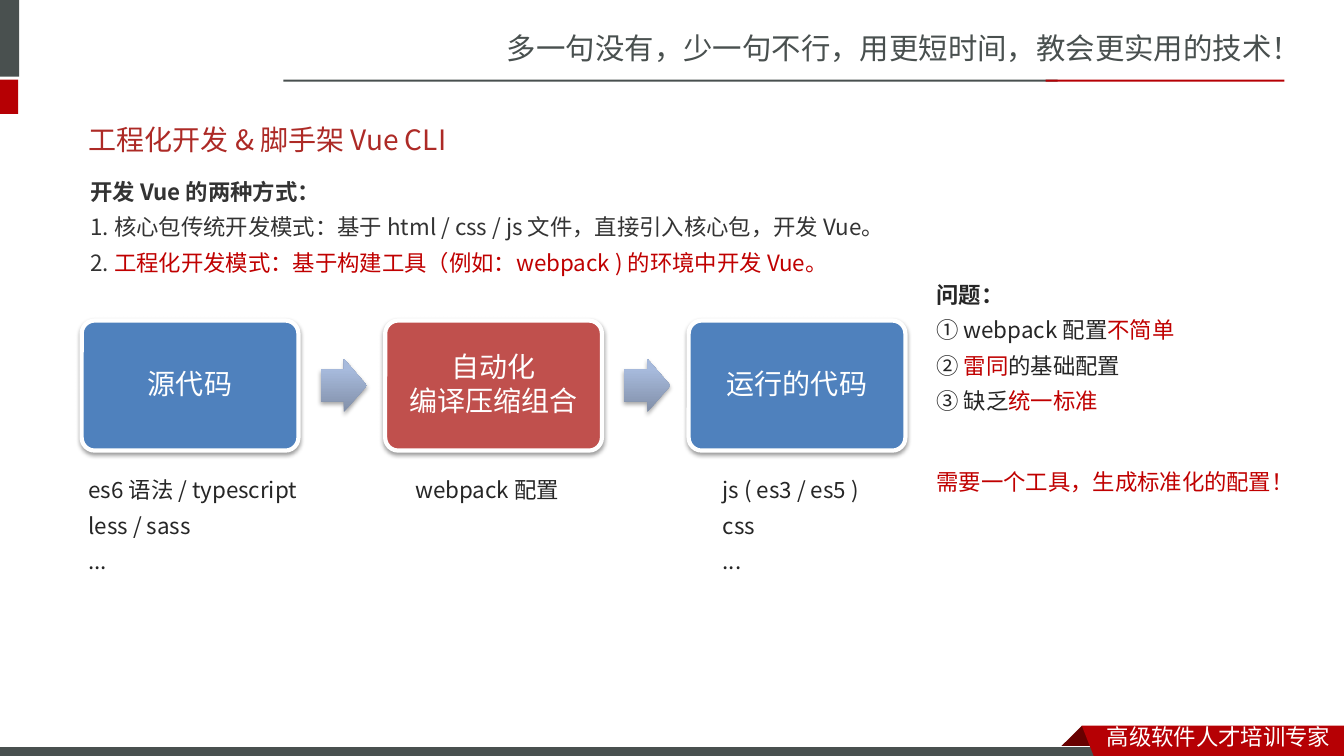
import pptx
import pptx.dml.color
import pptx.enum.shapes
import pptx.enum.text
import pptx.oxml
import pptx.oxml.ns
import pptx.util

RGBColor = pptx.dml.color.RGBColor
MSO_SHAPE = pptx.enum.shapes.MSO_SHAPE
PP_ALIGN = pptx.enum.text.PP_ALIGN
MSO_ANCHOR = pptx.enum.text.MSO_ANCHOR

PX = 9144  # 100 px to the inch
GREY = RGBColor(0x49, 0x50, 0x4F)
RED = RGBColor(0xB6, 0x00, 0x04)
FOLD = RGBColor(0x68, 0x00, 0x00)
WHITE = RGBColor(0xFF, 0xFF, 0xFF)
TITLE = RGBColor(0xAD, 0x2A, 0x26)
DARK = RGBColor(0x33, 0x33, 0x33)
INK = RGBColor(0x26, 0x26, 0x26)
ACCENT = RGBColor(0xC0, 0x00, 0x00)
STEP_BLUE = RGBColor(0x4F, 0x81, 0xBD)
STEP_RED = RGBColor(0xC0, 0x50, 0x4D)
ARROW_DARK = RGBColor(0x81, 0x8F, 0xA8)
ARROW_LIGHT = RGBColor(0xA7, 0xBA, 0xDC)

SANS = "Noto Sans CJK JP"
SANS_SC = "Noto Sans CJK SC"
BODY = {"line_spacing": 1.17, "space_before": pptx.util.Pt(3)}
STEP = {"line_spacing": 0.9, "space_after": pptx.util.Pt(2.5), "alignment": PP_ALIGN.CENTER}


def px(*lengths):
    return [length * PX for length in lengths]


def write(frame, lines, size, color, font=SANS, layout=None, bold_first=False):
    """Fill a frame; a line is a string or a list of strings and (string, color) pairs."""
    for index, line in enumerate(lines):
        paragraph = frame.paragraphs[0] if index == 0 else frame.add_paragraph()
        for name, value in (layout or {}).items():
            setattr(paragraph, name, value)
        for part in [line] if isinstance(line, str) else line:
            text, run_color = (part, color) if isinstance(part, str) else part
            run = paragraph.add_run()
            run.text = text
            values = {"size": pptx.util.Pt(size), "name": font, "bold": bold_first and index == 0}
            for name, value in values.items():
                setattr(run.font, name, value)
            run.font.color.rgb = run_color
            east_asian = pptx.oxml.ns.qn("a:ea")
            run.font._element.makeelement(east_asian)
            latin = run.font._element.find(pptx.oxml.ns.qn("a:latin"))
            latin.addnext(latin.makeelement(east_asian, {"typeface": font}))


def add_text(slide, box, lines, size, color, anchor=MSO_ANCHOR.TOP, **style):
    frame = slide.shapes.add_textbox(*px(*box)).text_frame
    frame.word_wrap = True
    frame.vertical_anchor = anchor
    write(frame, lines, size, color, **style)


def paint(shape, fill, line=None, line_width=0.75):
    shape.shadow.inherit = False
    shape.fill.solid()
    shape.fill.fore_color.rgb = fill
    outline(shape, line, line_width)


def outline(shape, line, width):
    if line is None:
        shape.line.fill.background()
    else:
        shape.line.color.rgb = line
        shape.line.width = pptx.util.Pt(width)


def add_bar(slide, box, fill, line=None):
    paint(slide.shapes.add_shape(MSO_SHAPE.RECTANGLE, *px(*box)), fill, line)


def add_polygon(slide, points, fill):
    builder = slide.shapes.build_freeform(*points[0], scale=PX)
    builder.add_line_segments(points[1:], close=True)
    paint(builder.convert_to_shape(), fill)


def add_soft_shadow(shape, distance, opacity):
    shape.shadow.inherit = False
    namespace = pptx.oxml.ns.nsdecls("a")
    effects = shape._element.spPr.find(pptx.oxml.ns.qn("a:effectLst"))
    effects.append(pptx.oxml.parse_xml(
        f'<a:outerShdw {namespace} blurRad="40000" dist="{distance}" dir="5400000" rotWithShape="0">'
        f'<a:srgbClr val="000000"><a:alpha val="{opacity * 1000}"/></a:srgbClr></a:outerShdw>'))


def add_header(slide, box):
    left, top, width, height = box
    add_text(slide, (left + 493, top + 25, 841, 47),
             ["多一句没有，少一句不行，用更短时间，教会更实用的技术！"], 21, GREY, font=SANS_SC)
    add_bar(slide, (left - 6, top, 25, 76), GREY)
    add_bar(slide, (left - 6, top + 79, 24, 34), RED)
    add_bar(slide, (left + 281, top + height - 2, 768, 2), GREY)
    add_bar(slide, (left + 1037, top + height - 2, 237, 2), RED)


def add_footer(slide, box):
    left, top, width, height = box
    right, bottom = left + width, top + height
    ribbon = right - 260
    add_polygon(slide, [(ribbon, top), (ribbon + 22, top + 22), (ribbon + 21, top + 23),
                        (ribbon - 21, top + 23), (ribbon - 22, top + 22)], FOLD)
    add_bar(slide, (left - 1, top + 21, 1100, 12), GREY, WHITE)
    add_polygon(slide, [(ribbon, top), (right, top), (right, bottom), (ribbon + 13, bottom - 1)], RED)
    add_text(slide, (right - 245, top - 7, 245, 37), ["高级软件人才培训专家"], 16, WHITE, font=SANS_SC)


def add_step(slide, box, lines, fill):
    shape = slide.shapes.add_shape(MSO_SHAPE.ROUNDED_RECTANGLE, *px(*box))
    shape.adjustments[0] = 0.1
    paint(shape, fill, WHITE, 3)
    add_soft_shadow(shape, 20000, 38)
    frame = shape.text_frame
    frame.word_wrap = True
    frame.vertical_anchor = MSO_ANCHOR.MIDDLE
    write(frame, lines, 20, WHITE, layout=STEP)


def add_step_arrow(slide, box):
    arrow = slide.shapes.add_shape(MSO_SHAPE.RIGHT_ARROW, *px(*box))
    arrow.adjustments[0], arrow.adjustments[1] = 0.6, 0.5
    arrow.fill.gradient()
    arrow.fill.gradient_angle = 90
    for stop, color, position in zip(arrow.fill.gradient_stops, (ARROW_DARK, ARROW_LIGHT), (0, 0.8)):
        stop.color.rgb = color
        stop.position = position
    outline(arrow, None, 0)
    add_soft_shadow(arrow, 23000, 35)


def add_build_flow(slide, box):
    """Three steps joined by arrows, with notes below each."""
    left, top, width, height = box
    step_width, step_height, arrow_width, arrow_height = 215, 129, 46, 53
    pitch = (width - step_width) // 2
    steps = [
        (["源代码"], STEP_BLUE, -3, 257, ["es6 语法 / typescript", "less / sass", "..."]),
        (["自动化", "编译压缩组合"], STEP_RED, 20, 175, ["webpack 配置"]),
        (["运行的代码"], STEP_BLUE, 24, 192, ["js ( es3 / es5 )", "css", "..."]),
    ]
    for index, (lines, fill, indent, note_width, notes) in enumerate(steps):
        step_left = left + index * pitch
        add_step(slide, (step_left, top, step_width, step_height), lines, fill)
        if index:
            add_step_arrow(slide, (step_left - 64, top + (step_height - arrow_height) // 2,
                                   arrow_width, arrow_height))
        add_text(slide, (step_left + indent, top + 145, note_width, height - 145),
                 notes, 16, INK, layout=BODY)


def add_problems(slide, box):
    left, top, width, height = box
    add_text(slide, (left, top, width, 180),
             ["问题：", ["① webpack 配置", ("不简单", ACCENT)],
              ["② ", ("雷同", ACCENT), "的基础配置"], ["③ 缺乏", ("统一标准", ACCENT)]],
             16, INK, layout=BODY, bold_first=True)
    add_text(slide, (left, top + 186, width, height - 186),
             ["需要一个工具，生成标准化的配置！"], 16, ACCENT, layout=BODY)


def add_introduction(slide, box):
    left, top, width, height = box
    add_text(slide, (left, top, width, 57), ["工程化开发 & 脚手架 Vue CLI"], 20, TITLE,
             anchor=MSO_ANCHOR.MIDDLE)
    add_text(slide, (left + 2, top + 57, 881, height - 57),
             ["开发 Vue 的两种方式：",
              "1. 核心包传统开发模式：基于 html / css / js 文件，直接引入核心包，开发 Vue。",
              ["2. ", ("工程化开发模式：基于构建工具（例如：webpack ) 的环境中开发 Vue。", ACCENT)]],
             16, DARK, layout=BODY, bold_first=True)


def main():
    presentation = pptx.Presentation()
    presentation.slide_width, presentation.slide_height = px(1333, 750)
    slide = presentation.slides.add_slide(presentation.slide_layouts[6])
    add_header(slide, (0, 0, 1333, 81))
    add_footer(slide, (0, 720, 1333, 34))
    add_introduction(slide, (78, 110, 1172, 204))
    add_build_flow(slide, (81, 318, 817, 332))
    add_problems(slide, (919, 269, 384, 232))
    presentation.save("out.pptx")


if __name__ == "__main__":
    main()
